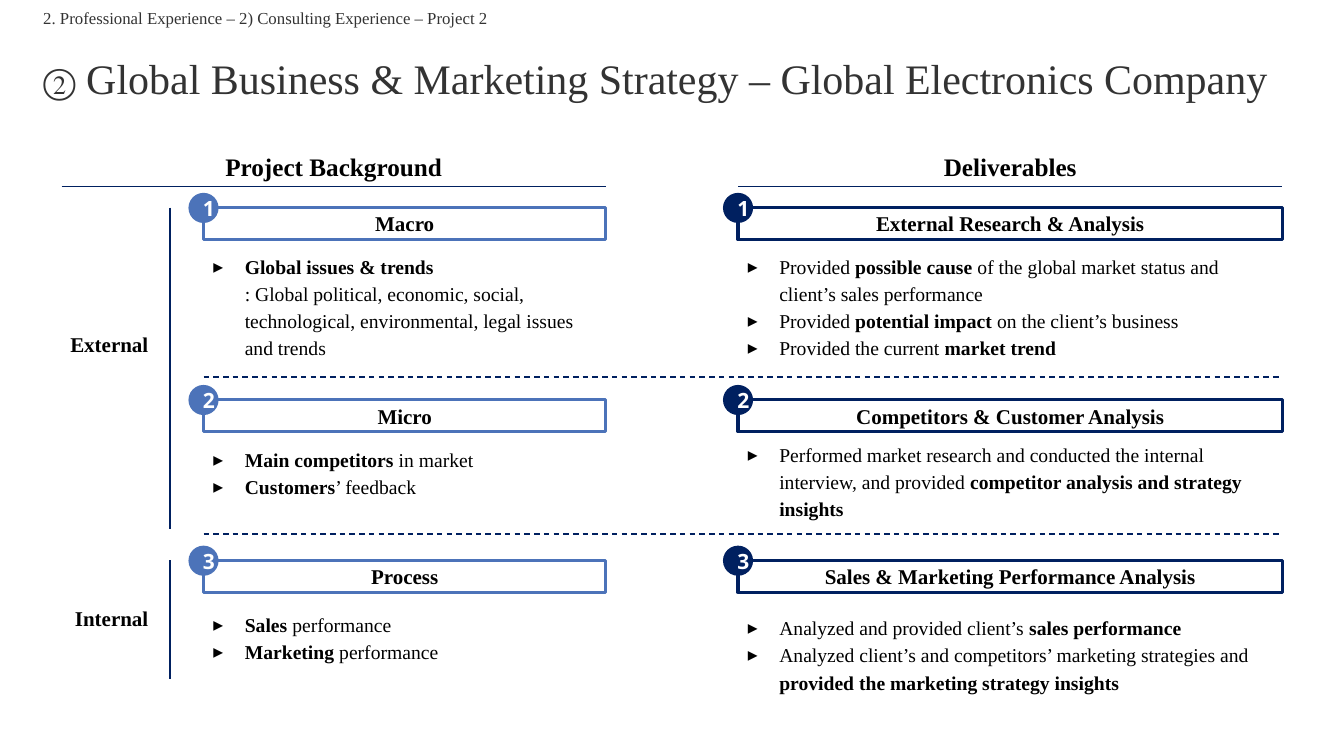
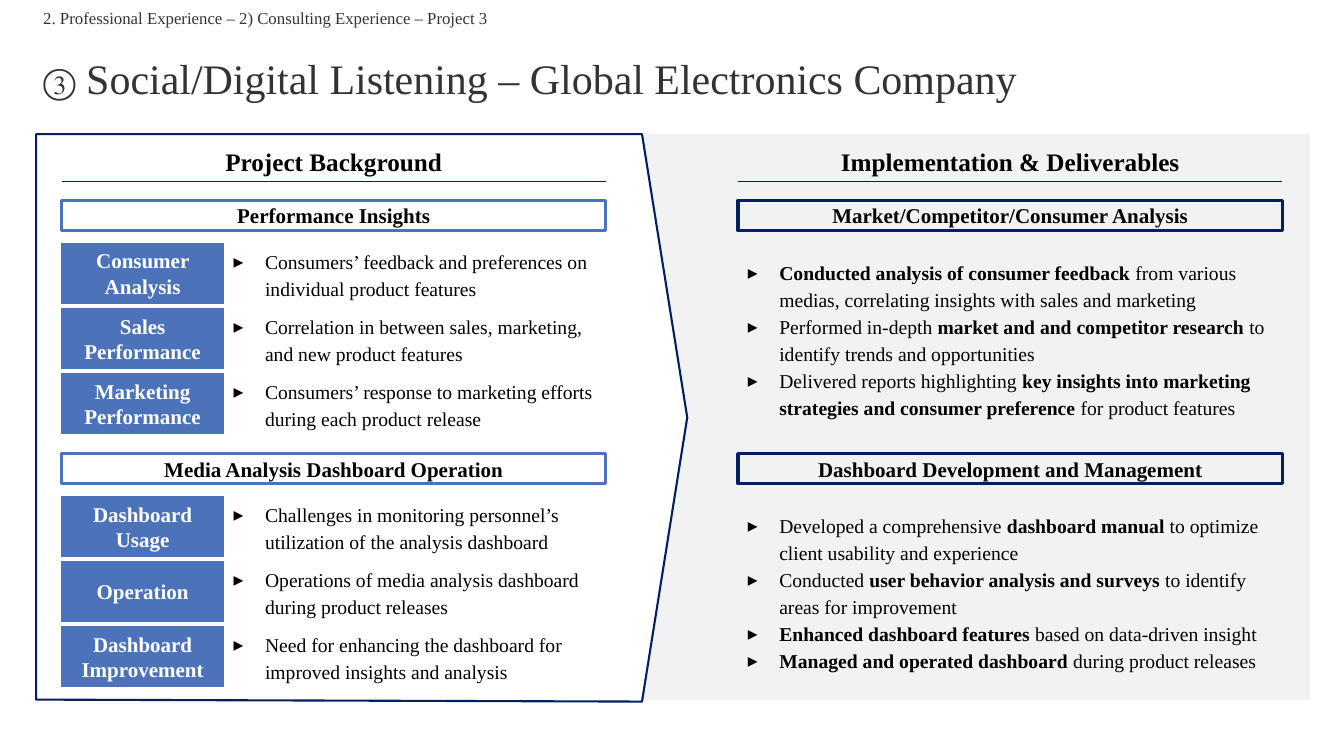
from lxml import etree
from pptx import Presentation
from pptx import util as u
from pptx.dml import color
from pptx.enum import dml, shapes, text
from pptx.oxml import ns

HUES = {"navy": "002060", "blue": "4C73B9", "gray": "F2F2F2",
        "dark": "333333", "black": "000000", "white": "FFFFFF"}
SERIF = "Times New Roman"
LEFT, RIGHT, WIDE = 1.55, 18.6, 13.72
INNER, SLIM = 5.13, 10.14
KIND = shapes.MSO_SHAPE
SIDE = text.PP_ALIGN


def hue(name):
    return color.RGBColor.from_string(HUES[name])


def style(shape, fill=None, line=None, width=2.25):
    shape.shadow.inherit = False
    if fill:
        shape.fill.solid()
        shape.fill.fore_color.rgb = hue(fill)
    else:
        shape.fill.background()
    if line:
        shape.line.color.rgb = hue(line)
        shape.line.width = u.Pt(width)
    else:
        shape.line.fill.background()


def font(para, size, tint="black", face=SERIF, bold=None):
    para.font.size = u.Pt(size)
    para.font.name = face
    para.font.color.rgb = hue(tint)
    para.font.bold = bold


def frame(shape):
    body = shape.text_frame
    body.word_wrap = True
    body.vertical_anchor = text.MSO_ANCHOR.MIDDLE
    return body


def label(shape, words, size, tint="black", face=SERIF, bold=True, side=SIDE.CENTER):
    para = frame(shape).paragraphs[0]
    para.text = words
    para.alignment = side
    font(para, size, tint, face, bold)
    return para


def area(slide, x, y, w, h):
    return slide.shapes.add_textbox(u.Cm(x), u.Cm(y), u.Cm(w), u.Cm(h))


def block(slide, x, y, w, h, fill=None, line=None, kind=KIND.FLOWCHART_PROCESS):
    shape = slide.shapes.add_shape(kind, u.Cm(x), u.Cm(y), u.Cm(w), u.Cm(h))
    style(shape, fill, line)
    return shape


def rule(slide, x, y, end, low, width=1, dash=False):
    line = slide.shapes.add_connector(
        shapes.MSO_CONNECTOR.STRAIGHT, u.Cm(x), u.Cm(y), u.Cm(end), u.Cm(low))
    line.line.color.rgb = hue("navy")
    line.line.width = u.Pt(width)
    if dash:
        line.line.dash_style = dml.MSO_LINE.DASH
    etree.SubElement(line._element.spPr, ns.qn("a:effectLst"))


def bullet(para):
    props = para._p.get_or_add_pPr()
    props.set("marL", str(u.Cm(0.79)))
    props.set("indent", str(u.Cm(-0.79)))
    etree.SubElement(props, ns.qn("a:buFont"), typeface="Arial")
    etree.SubElement(props, ns.qn("a:buChar"), char="▸")


def points(slide, x, y, w, h, items):
    body = frame(area(slide, x, y, w, h))
    for spot, item in enumerate(items):
        para = body.add_paragraph() if spot else body.paragraphs[0]
        bullet(para)
        para.line_spacing = 1.15
        font(para, 14)
        for turn, part in enumerate(item.split("**")):
            for row, words in enumerate(part.split("\n")):
                if row:
                    para.add_line_break()
                if words:
                    run = para.add_run()
                    run.text = words
                    run.font.bold = turn % 2 == 1


def header(slide, sign, name, part):
    para = frame(area(slide, 0.84, 1.02, 32.18, 2.06)).paragraphs[0]
    para.line_spacing = 0.9
    font(para, 30, "dark")
    for words, size in ((sign, 25), (" " + name, 30)):
        run = para.add_run()
        run.text = words
        run.font.size = u.Pt(size)
    trail = f"2. Professional Experience – 2) Consulting Experience – Project {part}"
    label(area(slide, 0.84, 0, 32.18, 0.97), trail, 12, "dark",
          bold=False, side=SIDE.LEFT).line_spacing = 0.9


def heads(slide, y, names):
    for x, name in zip((LEFT, RIGHT), names):
        label(area(slide, x, y, WIDE, 1.02), name, 18)
        rule(slide, x, y + 1.02, x + WIDE, y + 1.02)


def band(slide, x, y, w, h, name, tint):
    label(block(slide, x, y, w, h, line=tint), name, 15)


def badge(slide, x, y, count, tint):
    shape = block(slide, x - 0.38, y - 0.37, 0.76, 0.76, tint, kind=KIND.OVAL)
    label(shape, str(count), 15, "white", "Noto Sans")


def strategy(slide):
    header(slide, "②", "Global Business & Marketing Strategy – Global Electronics Company", 2)
    heads(slide, 3.68, ("Project Background", "Deliverables"))
    for name, y, h, top, low in (("External", 5.31, 6.73, 5.23, 13.34),
                                 ("Internal", 14.55, 2.06, 14.12, 17.12)):
        label(area(slide, 1.2, y, 2.79, h), name, 15, side=SIDE.RIGHT)
        rule(slide, 4.29, top, 4.29, low, 1.5)
    for y in (9.5, 13.46):
        rule(slide, INNER, y, RIGHT + WIDE, y, dash=True)
    tops = (5.23, 10.07, 14.12)
    sides = (
        (INNER, SLIM, "blue", (
            ("Macro", 6.05, 3.3, [
                "**Global issues & trends\n**: Global political, economic, social, "
                "technological, environmental, legal issues and trends"]),
            ("Micro", 10.92, 1.9, [
                "**Main competitors** in market", "**Customers**’ feedback"]),
            ("Process", 14.94, 2.21, [
                "**Sales** performance", "**Marketing** performance"]))),
        (RIGHT, WIDE, "navy", (
            ("External Research & Analysis", 6.05, 3.3, [
                "Provided **possible cause **of the global market status and "
                "client’s sales performance",
                "Provided **potential impact **on the client’s business",
                "Provided the current **market trend**"]),
            ("Competitors & Customer Analysis", 10.87, 2.46, [
                "Performed market research and conducted the internal interview, "
                "and provided **competitor analysis and strategy insights**"]),
            ("Sales & Marketing Performance Analysis", 14.99, 2.95, [
                "Analyzed and provided client’s **sales performance**",
                "Analyzed client’s and competitors’ marketing strategies and "
                "**provided the marketing strategy insights**"]))))
    for x, w, tint, rows in sides:
        for count, (top, row) in enumerate(zip(tops, rows), 1):
            name, y, h, items = row
            band(slide, x, top, w, 0.81, name, tint)
            points(slide, x, y, w, h, items)
            badge(slide, x, top, count, tint)


def arrow(slide):
    spots = [(u.Cm(x), u.Cm(y)) for x, y in (
        (0.91, 3.38), (16.18, 3.38), (17.32, 10.52), (16.18, 17.68), (0.91, 17.63))]
    path = slide.shapes.build_freeform(*spots[0])
    path.add_line_segments(spots[1:], close=True)
    style(path.convert_to_shape(), "white", "navy", 1.5)


def listen(slide):
    block(slide, 15.34, 3.38, 17.68, 14.27, "gray")
    arrow(slide)
    header(slide, "③", "Social/Digital Listening – Global Electronics Company", 3)
    heads(slide, 3.56, ("Project Background", "Implementation & Deliverables"))
    parts = (
        (5.05, "Performance Insights", (
            ("Consumer Analysis",
             "Consumers’ feedback and preferences on individual product features"),
            ("Sales Performance",
             "Correlation in between sales, marketing, and new product features"),
            ("Marketing Performance",
             "Consumers’ response to marketing efforts during each product release")),
         "Market/Competitor/Consumer Analysis", [
            "**Conducted analysis of consumer feedback** from various medias, "
            "correlating insights with sales and marketing",
            "Performed in-depth **market and and competitor research **to identify "
            "trends and opportunities",
            "Delivered reports highlighting **key insights into marketing strategies "
            "and consumer preference** for product features"]),
        (11.43, "Media Analysis Dashboard Operation", (
            ("Dashboard\nUsage",
             "Challenges in monitoring personnel’s utilization of the analysis dashboard"),
            ("Operation",
             "Operations of media analysis dashboard during product releases"),
            ("Dashboard Improvement",
             "Need for enhancing the dashboard for improved insights and analysis")),
         "Dashboard Development and Management", [
            "Developed a comprehensive **dashboard manual** to optimize client "
            "usability and experience",
            "Conducted **user behavior analysis and surveys** to identify areas "
            "for improvement",
            "**Enhanced dashboard features** based on data-driven insight",
            "**Managed and operated dashboard** during product releases"]))
    for top, name, tags, goal, items in parts:
        band(slide, LEFT, top, WIDE, 0.76, name, "blue")
        band(slide, RIGHT, top, WIDE, 0.76, goal, "navy")
        for spot, (tag, note) in enumerate(tags):
            y = top + 1.07 + spot * 1.64
            label(block(slide, LEFT, y, 4.09, 1.53, "blue"), tag, 15, "white")
            points(slide, LEFT + 4.09, y, WIDE - 4.09, 1.53, [note])
        points(slide, RIGHT, top + 1.07, WIDE, 4.8, items)


def main():
    deck = Presentation()
    deck.slide_width, deck.slide_height = u.Cm(33.87), u.Cm(19.05)
    for draw in (strategy, listen):
        draw(deck.slides.add_slide(deck.slide_layouts[6]))
    deck.save("out.pptx")


if __name__ == "__main__":
    main()
